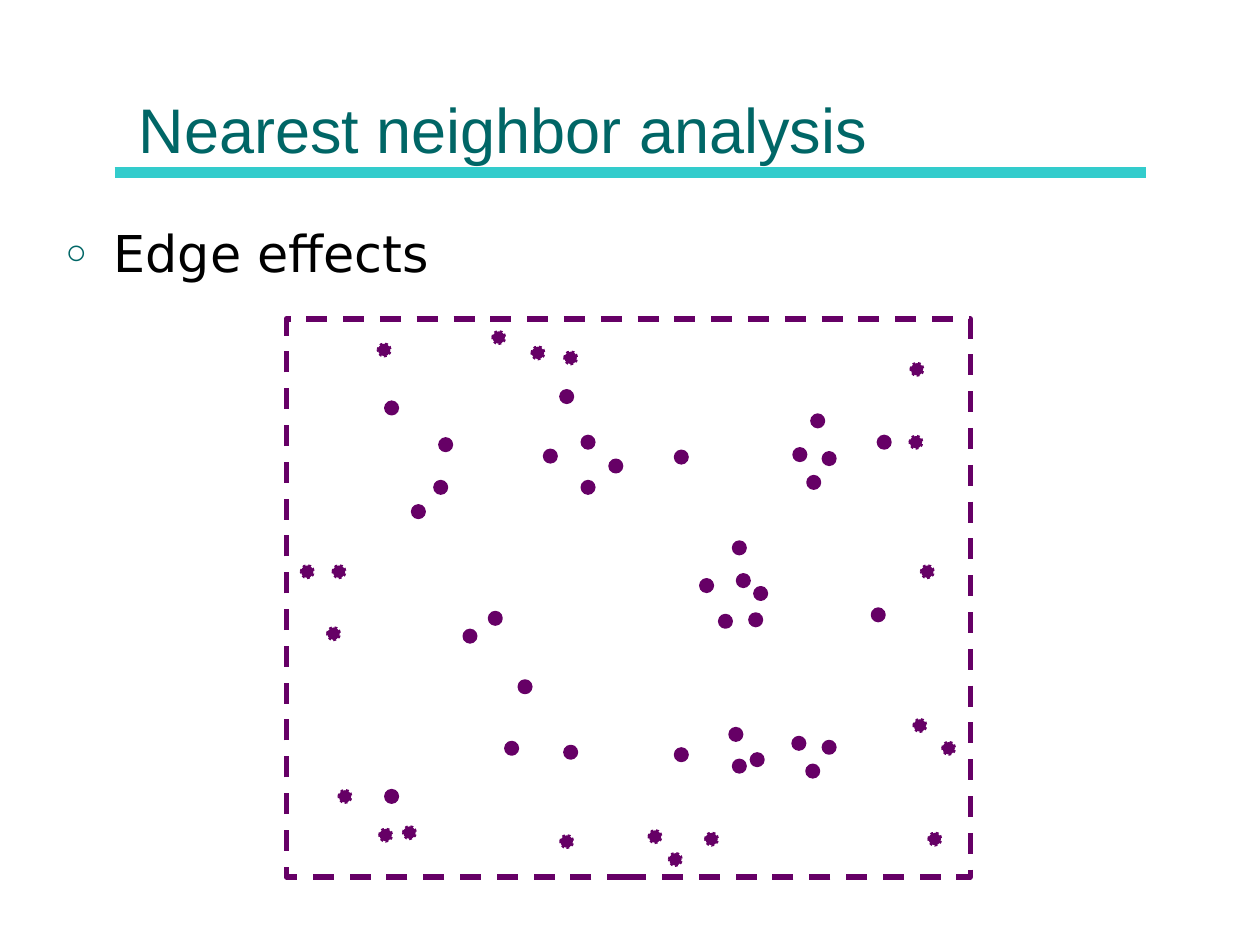
from pptx import Presentation
from pptx.dml.color import RGBColor
from pptx.enum.dml import MSO_LINE_DASH_STYLE as Dash
from pptx.enum.shapes import MSO_CONNECTOR as Connector, MSO_SHAPE as Shape
from pptx.enum.text import MSO_ANCHOR as Anchor, MSO_AUTO_SIZE as AutoSize, PP_ALIGN as Align
from pptx.oxml import parse_xml
from pptx.oxml.ns import nsdecls, qn
from pptx.util import Cm, Pt
from lxml.etree import SubElement

TEAL, TURQUOISE, PURPLE, BLACK = "006666", "33CCCC", "660066", "000000"
DOT_SIZE = 0.25

INNER_POINTS = [
    (15.21, 11.84), (10.97, 9.07), (8.86, 8.84), (17.7, 8.79), (15.11, 12.37),
    (13.61, 9.09), (8.76, 9.7), (14.12, 11.68), (11.73, 9.7), (9.86, 12.34),
    (7.77, 8.1), (9.35, 12.7), (14.86, 11.58), (11.3, 7.87), (11.73, 8.79),
    (8.31, 10.19), (12.29, 9.27), (16, 9.04), (16.36, 8.36), (14.5, 12.4),
    (10.46, 13.72), (14.78, 10.92), (16.28, 9.6), (16.59, 9.12), (10.19, 14.96),
    (7.77, 15.93), (15.14, 15.19), (17.58, 12.27), (14.78, 15.32), (15.98, 14.86),
    (14.71, 14.68), (16.26, 15.42), (16.59, 14.94), (11.38, 15.04), (13.61, 15.09),
]
EDGE_POINTS = [
    (18.72, 16.79), (18.34, 8.79), (18.36, 7.32), (6.83, 15.93), (7.65, 16.71),
    (19, 14.96), (18.42, 14.5), (8.13, 16.66), (18.57, 11.4), (7.62, 6.93),
    (6.71, 11.4), (6.6, 12.65), (6.07, 11.4), (13.08, 16.74), (14.22, 16.79),
    (13.49, 17.2), (11.38, 7.09), (9.93, 6.68), (10.72, 6.99), (11.3, 16.84),
]


def color(value):
    """Turn a hex string into a colour."""
    return RGBColor.from_string(value)


def write(para, text, *, font, size, ink):
    """Add a formatted span of text to a paragraph."""
    span = para.add_run()
    span.text = text
    span.font.name = font
    span.font.size = Pt(size)
    span.font.color.rgb = color(ink)


class SlideBuilder:
    """Hold the style and the current slide, and draw each kind of element."""

    def __init__(self, slide):
        self.slide = slide
        self.title_style = {"font": "Arial", "size": 36, "ink": TEAL}
        self.body_style = {"font": "DejaVu Sans", "size": 29, "ink": BLACK}

    def place(self, box, left, top, width, height, anchor):
        """Move a placeholder and return its first paragraph."""
        box.left, box.top, box.width, box.height = map(Cm, (left, top, width, height))
        frame = box.text_frame
        frame.word_wrap = True
        frame.auto_size = AutoSize.NONE
        frame.vertical_anchor = anchor
        para = frame.paragraphs[0]
        para.alignment = Align.LEFT
        return para

    def title(self, text):
        """Write the title just above its rule."""
        para = self.place(self.slide.shapes.title, 2.54, 0.3, 20.32, 3.18, Anchor.BOTTOM)
        write(para, text, **self.title_style)

    def bullet(self, text):
        """Write the body text with a hollow round bullet."""
        para = self.place(self.slide.placeholders[1], 1.07, 4.34, 23.19, 11.43, Anchor.TOP)
        para.space_before = Pt(5.8)
        write(para, text, **self.body_style)
        props = para._p.get_or_add_pPr()
        props.set("marL", str(Cm(0.97)))
        props.set("indent", str(-Cm(0.97)))
        tint = SubElement(props, qn("a:buClr"))
        SubElement(tint, qn("a:srgbClr"), val=TEAL)
        SubElement(props, qn("a:buSzPct"), val="70000")
        SubElement(props, qn("a:buChar"), char="○")

    def rule(self, left, right, top):
        """Draw the thick rule behind the title."""
        line = self.slide.shapes.add_connector(
            Connector.STRAIGHT, Cm(left), Cm(top), Cm(right), Cm(top))
        line.line.color.rgb = color(TURQUOISE)
        line.line.width = Pt(6)
        line.element.spPr.append(parse_xml(f"<a:effectLst {nsdecls('a')}/>"))
        self.slide.shapes.title.element.addprevious(line.element)

    def outline(self, kind, left, top, width, height, weight, dash=None):
        """Draw an unfilled purple shape and return it."""
        shape = self.slide.shapes.add_shape(kind, Cm(left), Cm(top), Cm(width), Cm(height))
        shape.shadow.inherit = False
        shape.fill.background()
        shape.line.color.rgb = color(PURPLE)
        shape.line.width = Pt(weight)
        if dash:
            shape.line.dash_style = dash
        return shape

    def dots(self, points, dash=None):
        """Draw a filled dot at every point."""
        for left, top in points:
            dot = self.outline(Shape.OVAL, left, top, DOT_SIZE, DOT_SIZE, 1.5, dash)
            dot.fill.solid()
            dot.fill.fore_color.rgb = color(PURPLE)


def main():
    """Build the slide and save the deck."""
    deck = Presentation()
    deck.slide_width, deck.slide_height = Cm(25.4), Cm(19.05)
    page = SlideBuilder(deck.slides.add_slide(deck.slide_layouts[1]))
    page.rule(2.31, 23.11, 3.48)
    page.title("Nearest neighbor analysis")
    page.bullet("Edge effects")
    page.dots(INNER_POINTS)
    page.outline(Shape.RECTANGLE, 5.77, 6.43, 13.79, 11.25, 3, Dash.DASH)
    page.dots(EDGE_POINTS, Dash.ROUND_DOT)
    deck.save("out.pptx")


if __name__ == "__main__":
    main()
